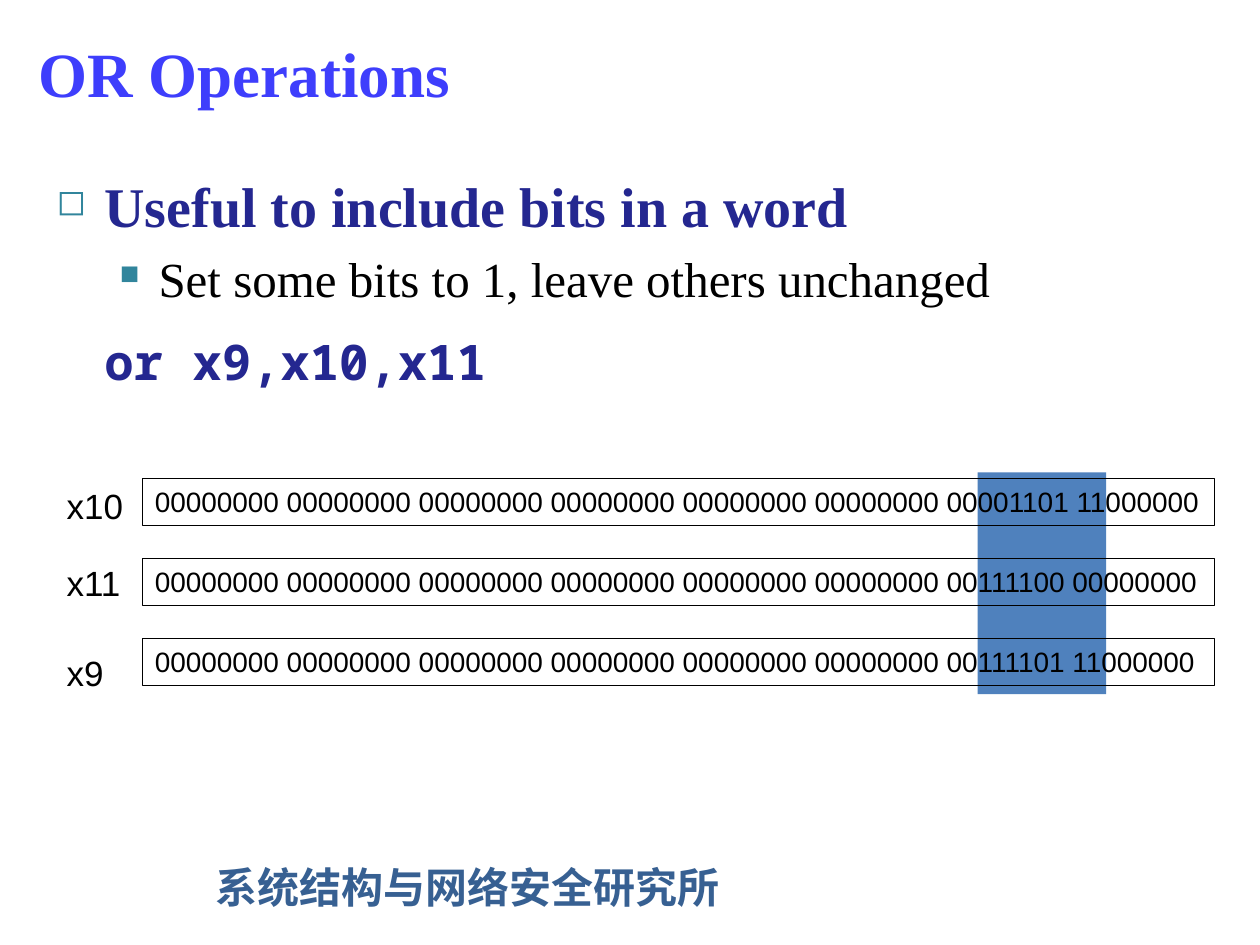
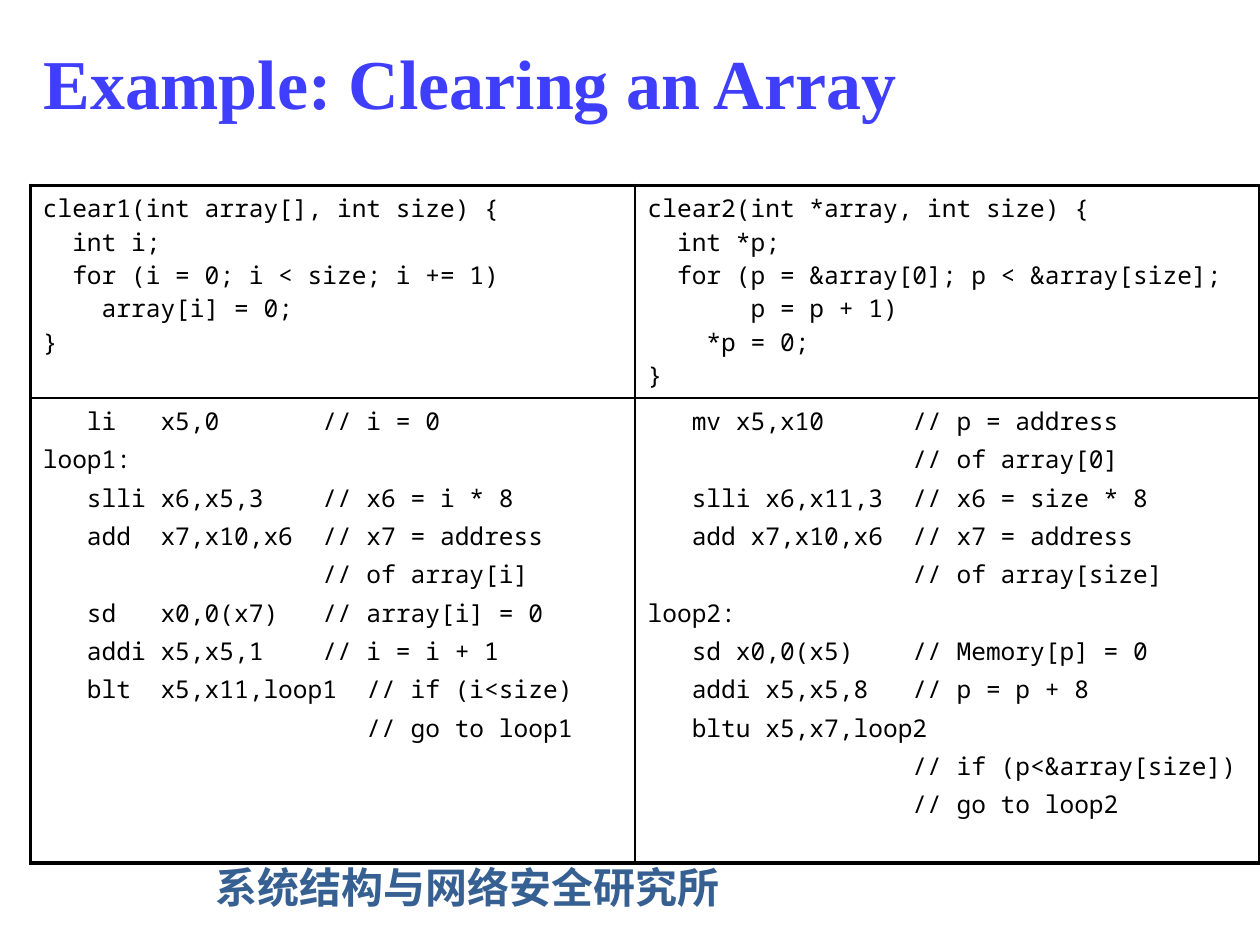
from dataclasses import dataclass

from lxml import etree
from pptx import Presentation
from pptx.dml.color import RGBColor
from pptx.enum.shapes import MSO_SHAPE
from pptx.enum.text import MSO_ANCHOR, PP_ALIGN
from pptx.oxml.ns import qn
from pptx.util import Inches, Pt

RECT = MSO_SHAPE.RECTANGLE
LEFT = PP_ALIGN.LEFT
TOP, MIDDLE = MSO_ANCHOR.TOP, MSO_ANCHOR.MIDDLE

COLORS = {
    "title": "3E3EFC",
    "head": "242790",
    "bullet": "31859C",
    "footer": "376092",
    "band": "4F81BD",
    "ink": "000000",
    "paper": "FFFFFF",
}
SERIF, SANS, MONO, HAN = "Times New Roman", "Arial", "Noto Sans Mono", "Noto Sans CJK SC"
FOOTER = "系统结构与网络安全研究所"


@dataclass(frozen=True)
class Box:
    left: float
    top: float
    width: float
    height: float

    def lengths(self):
        return [Inches(n) for n in (self.left, self.top, self.width, self.height)]


@dataclass(frozen=True)
class Style:
    font: str
    size: float
    color: str = "ink"
    bold: bool = False


@dataclass(frozen=True)
class Point:
    text: str
    style: Style
    margin: float
    before: float
    hang: float = 0
    mark: str = ""
    scale: int = 100


@dataclass(frozen=True)
class Word:
    name: str
    bits: str
    top: float
    width: float


BITS = Style(SANS, 16)
LABEL = Style(SANS, 20)
CODE = Style(MONO, 14)
NOTE = Style(HAN, 24, "footer", True)

POINTS = [
    Point("Useful to include bits in a word", Style(SERIF, 32, "head", True),
          0.38, 6.4, 0.38, "◻", 64),
    Point("Set some bits to 1, leave others unchanged", Style(SERIF, 28),
          0.81, 5.6, 0.31, "■", 55),
    Point("or x9,x10,x11", Style(MONO, 28, "head", True), 0.38, 14),
]

ZEROS = "00000000 " * 6
WORDS = [
    Word("x10", "00001101 11000000", 3.8, 0.65),
    Word("x11", "00111100 00000000", 4.41, 0.63),
    Word("x9", "00111101 11000000", 5.12, 0.5),
]

INDEX_C = """clear1(int array[], int size) {
  int i;
  for (i = 0; i < size; i += 1)
    array[i] = 0;
}"""
POINTER_C = """clear2(int *array, int size) {
  int *p;
  for (p = &array[0]; p < &array[size];
       p = p + 1)
    *p = 0;
}"""
INDEX_ASM = """   li   x5,0       // i = 0
loop1:
   slli x6,x5,3    // x6 = i * 8
   add  x7,x10,x6  // x7 = address
                   // of array[i]
   sd   x0,0(x7)   // array[i] = 0
   addi x5,x5,1    // i = i + 1
   blt  x5,x11,loop1  // if (i<size)
                      // go to loop1"""
POINTER_ASM = """   mv x5,x10      // p = address
                  // of array[0]
   slli x6,x11,3  // x6 = size * 8
   add x7,x10,x6  // x7 = address
                  // of array[size]
loop2:
   sd x0,0(x5)    // Memory[p] = 0
   addi x5,x5,8   // p = p + 8
   bltu x5,x7,loop2
                  // if (p<&array[size])
                  // go to loop2"""
GRID = [[INDEX_C, POINTER_C], [INDEX_ASM, POINTER_ASM]]


def rgb(name: str) -> RGBColor:
    return RGBColor.from_string(COLORS[name])


def add_node(parent, tag: str, **attrs: str):
    return etree.SubElement(parent, qn(tag), attrs)


def set_style(para, style: Style) -> None:
    para.alignment = LEFT
    font = para.font
    font.name, font.size, font.bold = style.font, Pt(style.size), style.bold
    font.color.rgb = rgb(style.color)
    props = para._p.pPr.find(qn("a:defRPr"))
    add_node(props, "a:ea", typeface=style.font)


def fill_text(frame, text: str, style: Style, before: float = 0) -> None:
    frame.text = text
    for para in frame.paragraphs:
        para.space_before = Pt(before)
        set_style(para, style)


def add_text(slide, box: Box, text: str, style: Style, anchor=TOP, wrap: bool = True) -> None:
    frame = slide.shapes.add_textbox(*box.lengths()).text_frame
    frame.word_wrap = wrap
    frame.vertical_anchor = anchor
    fill_text(frame, text, style)


def add_rect(slide, box: Box):
    shape = slide.shapes.add_shape(RECT, *box.lengths())
    shape.shadow.inherit = False
    return shape


def add_band(slide, box: Box) -> None:
    band = add_rect(slide, box)
    band.fill.solid()
    band.fill.fore_color.rgb = rgb("band")
    band.line.fill.background()


def add_word(slide, word: Word, top: float) -> None:
    shape = add_rect(slide, Box(1.13, top, 8.51, 0.37))
    shape.fill.background()
    shape.line.color.rgb = rgb("ink")
    shape.line.width = Pt(0.75)
    frame = shape.text_frame
    frame.word_wrap = True
    frame.vertical_anchor = TOP
    fill_text(frame, ZEROS + word.bits, BITS)
    add_text(slide, Box(0.43, word.top, word.width, 0.44), word.name, LABEL, wrap=False)


def add_points(slide, box: Box, points: list[Point]) -> None:
    frame = slide.shapes.add_textbox(*box.lengths()).text_frame
    frame.word_wrap = True
    for spot, point in enumerate(points):
        para = frame.add_paragraph() if spot else frame.paragraphs[0]
        para.text = point.text
        para.space_before = Pt(point.before)
        props = para._p.get_or_add_pPr()
        props.set("marL", str(Inches(point.margin)))
        props.set("indent", str(-Inches(point.hang)))
        if point.mark:
            tint = add_node(props, "a:buClr")
            add_node(tint, "a:srgbClr", val=COLORS["bullet"])
            add_node(props, "a:buSzPct", val=str(point.scale * 1000))
            add_node(props, "a:buChar", char=point.mark)
        set_style(para, point.style)


def set_edge(cell, side: str, width: float) -> None:
    props = cell._tc.get_or_add_tcPr()
    edge = add_node(props, f"a:ln{side}", w=str(Pt(width)))
    fill = add_node(edge, "a:solidFill")
    add_node(fill, "a:srgbClr", val=COLORS["ink"])


def add_grid(slide, box: Box, cols: list[float], rows: list[float]) -> None:
    table = slide.shapes.add_table(len(rows), len(cols), *box.lengths()).table
    table.first_row = table.horz_banding = False
    for col, width in zip(table.columns, cols):
        col.width = Inches(width)
    for row, height in zip(table.rows, rows):
        row.height = Inches(height)
    for r, line in enumerate(GRID):
        for c, code in enumerate(line):
            cell = table.cell(r, c)
            outer = {"L": c == 0, "R": c == len(cols) - 1,
                     "T": r == 0, "B": r == len(rows) - 1}
            for side, thick in outer.items():
                set_edge(cell, side, 2.25 if thick else 1)
            cell.fill.solid()
            cell.fill.fore_color.rgb = rgb("paper")
            fill_text(cell.text_frame, code, CODE, 2.8 if r else 0)


def add_slide(deck, title: str, box: Box, size: float):
    slide = deck.slides.add_slide(deck.slide_layouts[6])
    add_text(slide, Box(1.61, 6.79, 5.28, 0.5), FOOTER, NOTE)
    add_text(slide, box, title, Style(SERIF, size, "title", True), MIDDLE)
    return slide


def draw_or(deck) -> None:
    slide = add_slide(deck, "OR Operations", Box(0.21, 0.13, 8.33, 0.89), 36)
    add_points(slide, Box(0.35, 1.31, 9.29, 1.97), POINTS)
    add_band(slide, Box(7.76, 3.75, 1.02, 1.76))
    for spot, word in enumerate(WORDS):
        add_word(slide, word, 3.8 + spot * 0.635)


def draw_clear(deck) -> None:
    slide = add_slide(deck, "Example: Clearing an Array", Box(0.25, 0.13, 8.61, 1.04), 40)
    add_grid(slide, Box(0.24, 1.47, 9.76, 5.38), [4.8, 4.96], [1.69, 3.69])


def main() -> None:
    deck = Presentation()
    deck.slide_width, deck.slide_height = Inches(10), Inches(7.5)
    draw_or(deck)
    draw_clear(deck)
    deck.save("out.pptx")


if __name__ == "__main__":
    main()
